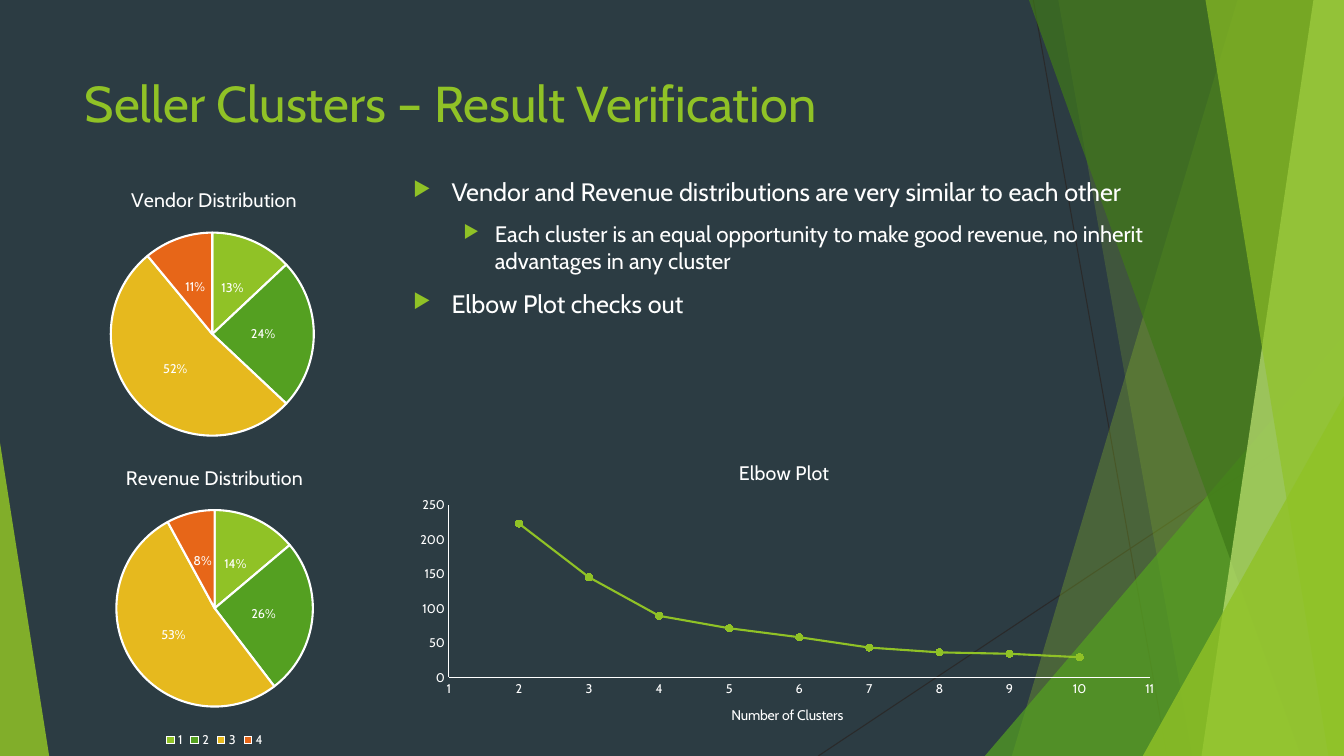
"""Build the seller cluster verification slide."""
from lxml import etree
from pptx import Presentation
from pptx.chart.data import CategoryChartData, XyChartData
from pptx.dml.color import RGBColor
from pptx.enum import chart as ec, shapes as es, text as et
from pptx.oxml import ns
from pptx.util import Cm, Pt

WIDE, HIGH = 33.87, 19.05
FONT = "Cabin"
LIME, GREEN, GOLD, RUST, WHITE = "90C226", "54A021", "E6B91E", "E76618", "FFFFFF"
BACK, DARK = "2C3C43", "2A2A2A"

TITLE = "Seller Clusters – Result Verification"
POINTS = [
    (0, 18, 0.97, "Vendor and Revenue distributions are very similar to each other"),
    (1, 16, 0.79, "Each cluster is an equal opportunity to make good revenue, "
                  "no inherit advantages in any cluster"),
    (0, 18, 0.97, "Elbow Plot checks out"),
]
INDENT = [0.97, 2.06]
PIES = [
    ("Vendor Distribution", (1.04, 4.32, 8.71, 7.01), (13, 24, 52, 11),
     (0.2, 0.22, 0.59, 0.73), False),
    ("Revenue Distribution", (1.27, 11.33, 8.28, 7.62), (14, 26, 53, 8),
     (0.2, 0.2, 0.6, 0.65), True),
]
ELBOW = [223, 145, 89, 71, 58, 43, 36, 34, 29]
RAYS = [(26.04, 0, 29.41, HIGH), (WIDE, 10.24, 20.62, HIGH)]
ART = [
    ("band", (31.19, 25.5), LIME, 30),
    ("band", (26.67, 30.05), LIME, 20),
    ("wedge", (24.82, 8.46, 9.05, 1), GREEN, 72),
    ("band", (25.93, 32.79), "3F7819", 70),
    ("band", (33.1, 30.28), "C0E474", 70),
    ("band", (30.38, 33.48), LIME, 65),
    ("wedge", (28.8, 9.98, 5.07, 1), LIME, 80),
    ("wedge", (0, 11.15, 1.24, 0), LIME, 85),
]


def rgb(code):
    return RGBColor.from_string(code)


def cms(vals):
    return [Cm(v) for v in vals]


def paint(fill, code):
    fill.solid()
    fill.fore_color.rgb = rgb(code)


def style(font, size, code=WHITE):
    for key, val in {"name": FONT, "size": Pt(size), "bold": False}.items():
        setattr(font, key, val)
    font.color.rgb = rgb(code)


def sub(node, tag, **attrs):
    return etree.SubElement(node, ns.qn(tag), {k: str(v) for k, v in attrs.items()})


def name(item, label, size):
    frame = item.text_frame
    frame.text = label
    style(frame.paragraphs[0].runs[0].font, size)


def draw(slide, kind, spec, code, alpha):
    if kind == "band":
        top, low = spec
        pen = slide.shapes.build_freeform(Cm(top), 0)
        pen.add_line_segments([cms(p) for p in ((WIDE, 0), (WIDE, HIGH), (low, HIGH))])
        shape = pen.convert_to_shape()
    else:
        left, top, wide, apex = spec
        shape = slide.shapes.add_shape(es.MSO_SHAPE.ISOSCELES_TRIANGLE,
                                       *cms((left, top, wide, HIGH - top)))
        shape.adjustments[0] = apex
    shape.shadow.inherit = False
    shape.line.fill.background()
    paint(shape.fill, code)
    tint = shape.element.spPr.find(".//" + ns.qn("a:srgbClr"))
    sub(tint, "a:alpha", val=alpha * 1000)


def plot(slide, kind, box, data, label, area):
    chart = slide.shapes.add_chart(kind, *cms(box), data).chart
    style(chart.font, 10)
    chart.has_title = True
    name(chart.chart_title, label, 14)
    chart.chart_title.include_in_layout = False
    chart.has_legend = False
    zone = chart.element.find(".//" + ns.qn("c:plotArea"))
    for old in zone.findall(ns.qn("c:layout")):
        zone.remove(old)
    lay = sub(zone, "c:layout")
    zone.insert(0, lay)
    hand = sub(lay, "c:manualLayout")
    sub(hand, "c:layoutTarget", val="inner")
    for key in "xy":
        sub(hand, f"c:{key}Mode", val="edge")
    for key, val in zip("xywh", area):
        sub(hand, f"c:{key}", val=val)
    return chart


def pie(slide, label, box, vals, area, legend):
    data = CategoryChartData()
    data.categories = ["1", "2", "3", "4"]
    data.add_series("Series 1", vals)
    chart = plot(slide, ec.XL_CHART_TYPE.PIE, box, data, label, area)
    disc = chart.plots[0]
    disc.vary_by_categories = True
    for i, code in enumerate((LIME, GREEN, GOLD, RUST)):
        form = disc.series[0].points[i].format
        paint(form.fill, code)
        form.line.color.rgb = rgb(WHITE)
        form.line.width = Pt(1.5)
    disc.has_data_labels = True
    tags = disc.data_labels
    form = {"show_value": True, "show_percentage": False, "number_format": '0"%"',
            "number_format_is_linked": False, "position": ec.XL_LABEL_POSITION.CENTER}
    for key, val in form.items():
        setattr(tags, key, val)
    style(tags.font, 9)
    if legend:
        chart.has_legend = True
        chart.legend.position = ec.XL_LEGEND_POSITION.BOTTOM
        chart.legend.include_in_layout = False
        style(chart.legend.font, 9)


def elbow(slide):
    data = XyChartData()
    run = data.add_series("Series 1")
    for x, y in enumerate(ELBOW, 2):
        run.add_data_point(x, y)
    chart = plot(slide, ec.XL_CHART_TYPE.XY_SCATTER_LINES, (10.16, 11.2, 19.2, 7.62),
                 data, "Elbow Plot", (0.06, 0.2, 0.92, 0.57))
    chart.plots[0].vary_by_categories = False
    curve = chart.plots[0].series[0]
    curve.smooth = False
    curve.format.line.color.rgb = rgb(LIME)
    curve.format.line.width = Pt(1.5)
    curve.marker.style = ec.XL_MARKER_STYLE.CIRCLE
    curve.marker.size = 5
    paint(curve.marker.format.fill, LIME)
    curve.marker.format.line.color.rgb = rgb(LIME)
    for axis, low, top, step in ((chart.category_axis, 1, 11, 1),
                                 (chart.value_axis, 0, 250, 50)):
        form = {"minimum_scale": low, "maximum_scale": top, "major_unit": step,
                "has_major_gridlines": False,
                "major_tick_mark": ec.XL_TICK_MARK.NONE,
                "minor_tick_mark": ec.XL_TICK_MARK.NONE}
        for key, val in form.items():
            setattr(axis, key, val)
        style(axis.tick_labels.font, 9)
        axis.format.line.color.rgb = rgb(WHITE)
        axis.format.line.width = Pt(0.75)
    name(chart.category_axis.axis_title, "Number of Clusters", 10)


def bullets(slide):
    frame = slide.shapes.add_textbox(*cms((10.16, 4.32, 19.2, 5.82))).text_frame
    frame.word_wrap = True
    for i, (level, size, hang, words) in enumerate(POINTS):
        para = frame.add_paragraph() if i else frame.paragraphs[0]
        para.level = level
        para.space_before = Pt(10)
        run = para.add_run()
        run.text = words
        style(run.font, size)
        props = para._p.get_or_add_pPr()
        props.set("marL", str(Cm(INDENT[level])))
        props.set("indent", str(-Cm(hang)))
        sub(sub(props, "a:buClr"), "a:srgbClr", val=LIME)
        sub(props, "a:buSzPct", val=80000)
        sub(props, "a:buChar", char="▶")


def main():
    deck = Presentation()
    deck.slide_width, deck.slide_height = cms((WIDE, HIGH))
    slide = deck.slides.add_slide(deck.slide_layouts[5])
    paint(slide.background.fill, BACK)
    for ray in RAYS:
        line = slide.shapes.add_connector(es.MSO_CONNECTOR.STRAIGHT, *cms(ray))
        line.line.color.rgb = rgb(DARK)
        line.line.width = Pt(0.75)
        sub(line.element.spPr, "a:effectLst")
    for part in ART:
        draw(slide, *part)
    head = slide.shapes.title
    head.element.getparent().append(head.element)
    for key, val in zip(("left", "top", "width", "height"), (1.88, 1.7, 23.88, 2.18)):
        setattr(head, key, Cm(val))
    frame = head.text_frame
    frame.text = TITLE
    frame.vertical_anchor = et.MSO_ANCHOR.TOP
    frame.paragraphs[0].alignment = et.PP_ALIGN.LEFT
    style(frame.paragraphs[0].runs[0].font, 36, LIME)
    bullets(slide)
    for item in PIES:
        pie(slide, *item)
    elbow(slide)
    deck.save("out.pptx")


if __name__ == "__main__":
    main()
